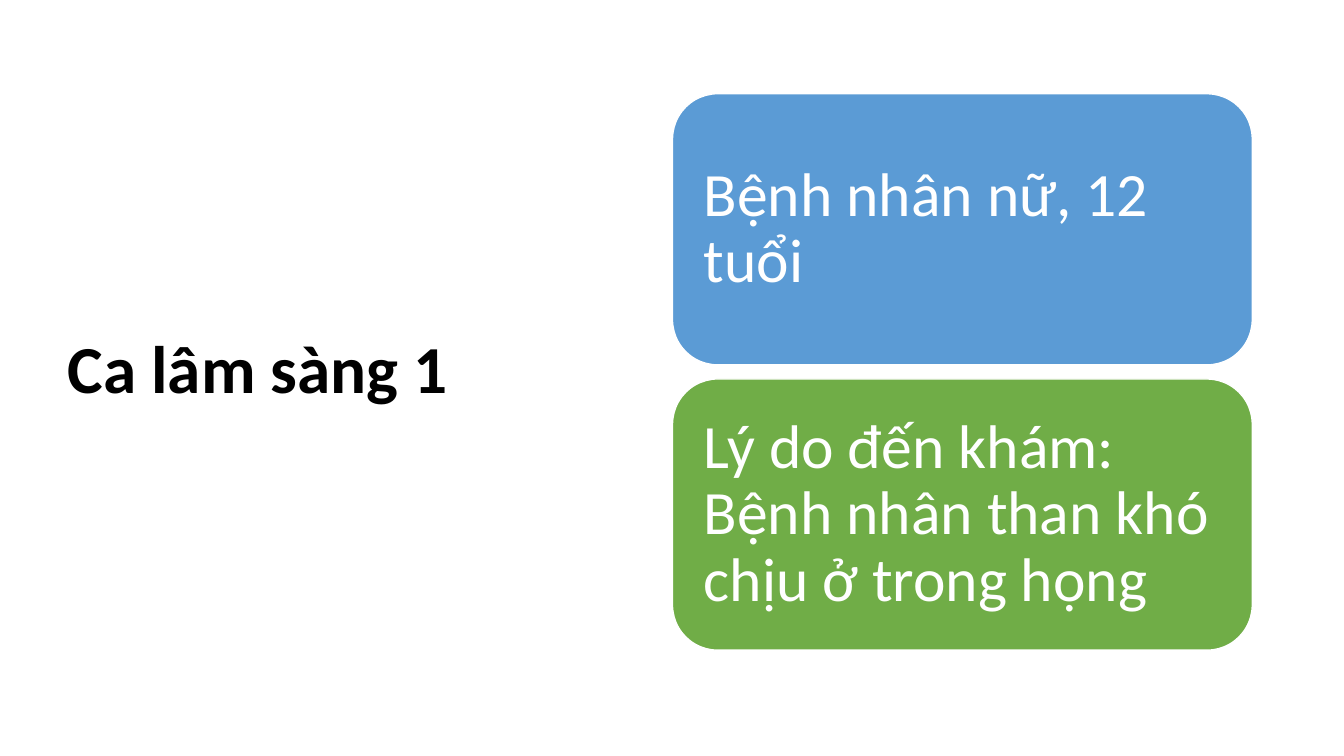
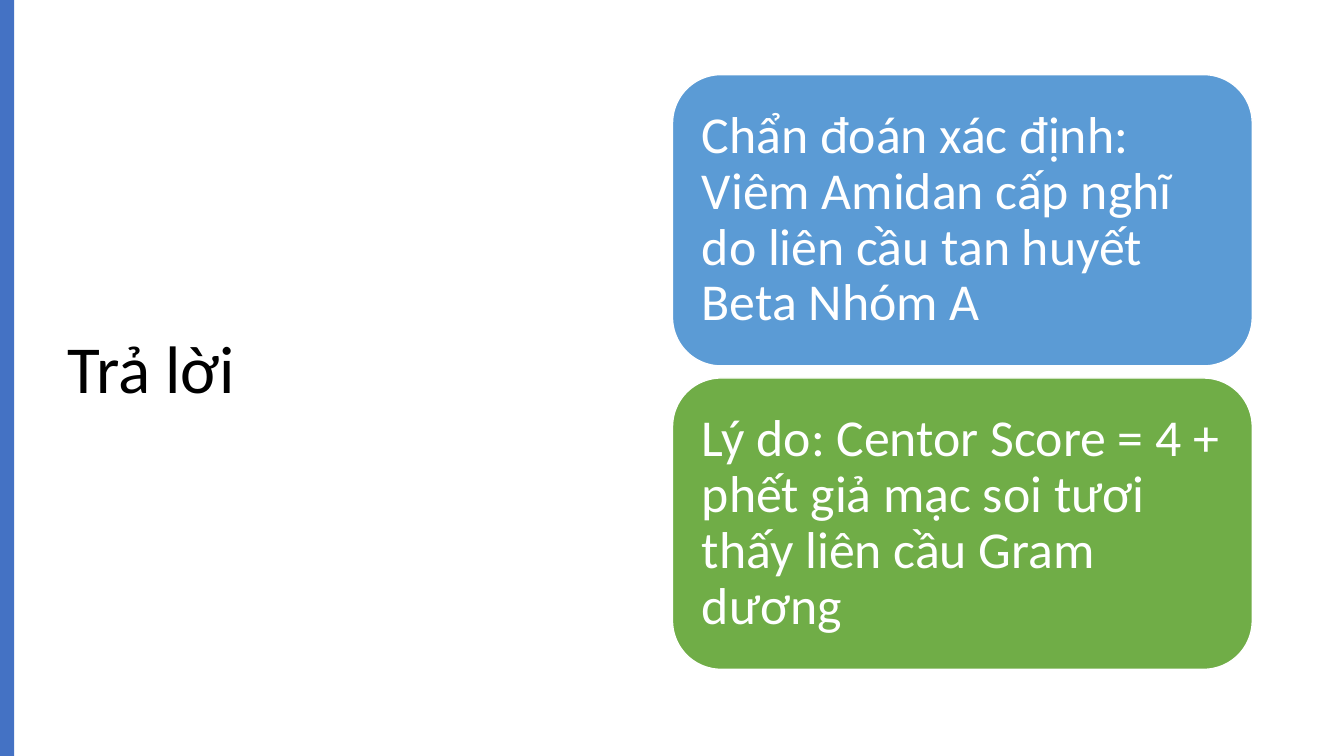
from dataclasses import dataclass

from pptx import Presentation
from pptx import util as u
from pptx.dml.color import RGBColor
from pptx.enum import shapes, text

PX = 9144  # EMU in one px, 100 px to the inch
WIDTH, HEIGHT = 1333, 750
FONT = "Calibri"
BLACK = RGBColor(0x00, 0x00, 0x00)
WHITE = RGBColor(0xFF, 0xFF, 0xFF)
NAVY = RGBColor(0x44, 0x72, 0xC4)
BLUE = RGBColor(0x5B, 0x9B, 0xD5)
GREEN = RGBColor(0x70, 0xAD, 0x47)

TITLE = (57, 68, 567, 602)
BAND = (0, 0, 14, HEIGHT)
LEFT, WIDE, MIDDLE = 667, 575, 369


@dataclass(frozen=True)
class Stack:
    """Two cards, one above the other, centred on MIDDLE."""
    high: int
    gap: int
    inset: int
    size: int
    words: tuple[str, str]


@dataclass(frozen=True)
class Page:
    title: str
    bold: bool
    band: bool
    stack: Stack


PAGES = (
    Page("Ca lâm sàng 1", True, False, Stack(269, 14, 18, 44, (
        "Bệnh nhân nữ, 12 tuổi",
        "Lý do đến khám: Bệnh nhân than khó chịu ở trong họng"))),
    Page("Trả lời", False, True, Stack(289, 12, 15, 37, (
        "Chẩn đoán xác định: Viêm Amidan cấp nghĩ do liên cầu tan huyết Beta Nhóm A",
        "Lý do: Centor Score = 4 + phết giả mạc soi tươi thấy liên cầu Gram dương"))),
)


def px(*sizes: int) -> list[u.Emu]:
    return [u.Emu(size * PX) for size in sizes]


def write(shape, words: str, size: int, color: RGBColor, bold: bool = False) -> None:
    frame = shape.text_frame
    frame.word_wrap = True
    frame.auto_size = text.MSO_AUTO_SIZE.NONE
    frame.vertical_anchor = text.MSO_ANCHOR.MIDDLE
    para = frame.paragraphs[0]
    para.alignment = text.PP_ALIGN.LEFT
    para.line_spacing = 0.9
    run = para.add_run()
    run.text = words
    font = run.font
    font.name, font.size, font.bold = FONT, u.Pt(size), bold
    font.color.rgb = color


def add_box(slide, kind: shapes.MSO_SHAPE, area: tuple[int, ...], fill: RGBColor):
    box = slide.shapes.add_shape(kind, *px(*area))
    box.shadow.inherit = False
    box.fill.solid()
    box.fill.fore_color.rgb = fill
    box.line.fill.background()
    return box


def add_stack(slide, stack: Stack) -> None:
    step = stack.high + stack.gap
    top = MIDDLE - (stack.high + step) // 2
    for row, (words, fill) in enumerate(zip(stack.words, (BLUE, GREEN))):
        area = (LEFT, top + row * step, WIDE, stack.high)
        card = add_box(slide, shapes.MSO_SHAPE.ROUNDED_RECTANGLE, area, fill)
        card.line.color.rgb = WHITE
        card.line.width = u.Pt(1)
        frame = card.text_frame
        frame.margin_left, frame.margin_top, frame.margin_right, frame.margin_bottom = (
            px(stack.inset) * 4)
        write(card, words, stack.size, WHITE)


def add_page(deck, page: Page) -> None:
    slide = deck.slides.add_slide(deck.slide_layouts.get_by_name("Title Only"))
    title = slide.shapes.title
    title.left, title.top, title.width, title.height = px(*TITLE)
    write(title, page.title, 48, BLACK, page.bold)
    if page.band:
        add_box(slide, shapes.MSO_SHAPE.RECTANGLE, BAND, NAVY)
    add_stack(slide, page.stack)


def main() -> None:
    deck = Presentation()
    deck.slide_width, deck.slide_height = px(WIDTH, HEIGHT)
    for page in PAGES:
        add_page(deck, page)
    deck.save("out.pptx")


if __name__ == "__main__":
    main()
